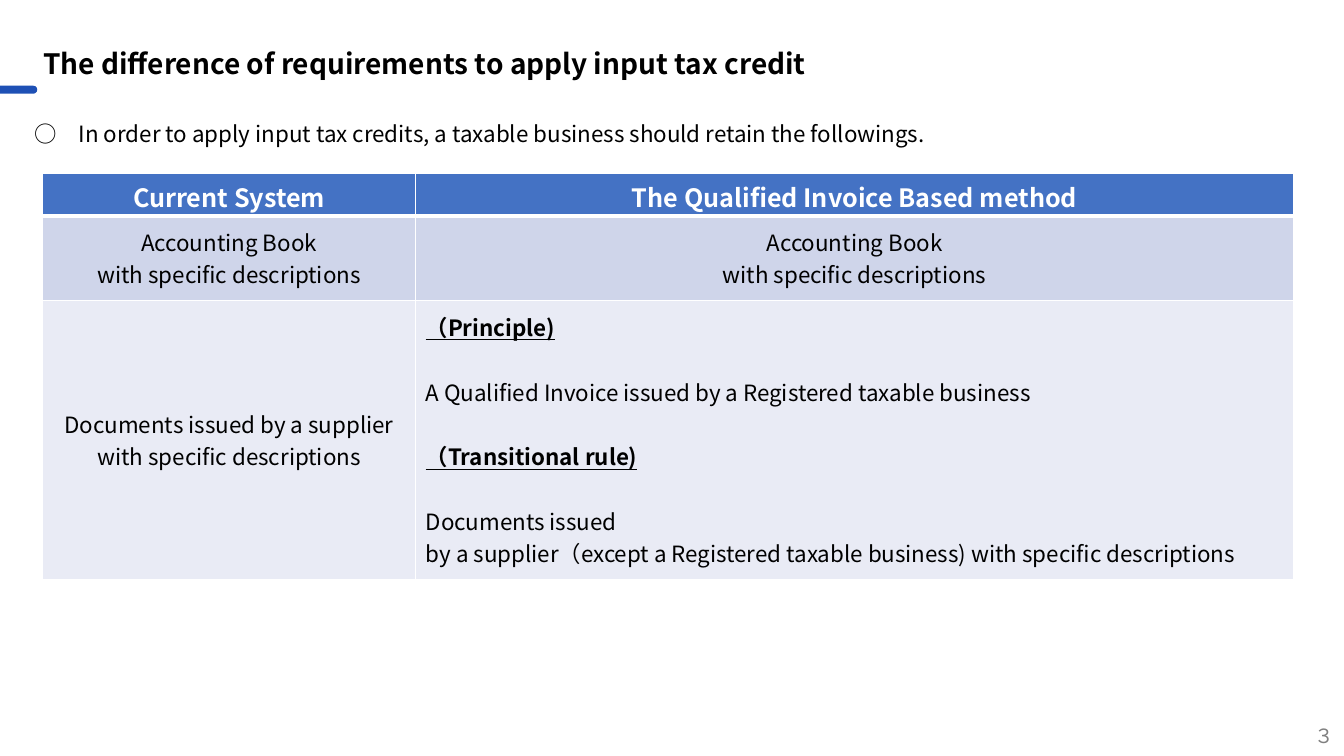
from dataclasses import dataclass

from lxml import etree
from pptx import Presentation
from pptx.dml.color import RGBColor
from pptx.enum.shapes import MSO_SHAPE
from pptx.enum.text import MSO_ANCHOR, PP_ALIGN
from pptx.oxml.ns import qn
from pptx.util import Pt

LEFT, CENTER, RIGHT = PP_ALIGN.LEFT, PP_ALIGN.CENTER, PP_ALIGN.RIGHT
TOP, MIDDLE = MSO_ANCHOR.TOP, MSO_ANCHOR.MIDDLE
ROUNDED = MSO_SHAPE.ROUNDED_RECTANGLE

SANS, NUMBER_FONT = "Noto Sans CJK JP", "Roboto"
BLACK, WHITE, GRAY, ACCENT = "000000", "FFFFFF", "808080", "1E50B5"
BLANK_LINE = 23.2


@dataclass
class Style:
    size: float = 16
    color: str = BLACK
    bold: bool = False
    underline: bool = False
    align: int = LEFT
    font: str = SANS
    before: float = 0


@dataclass
class Label:
    left: float
    top: float
    width: float
    text: str
    style: Style
    anchor: int = MIDDLE
    spacing: object = None


@dataclass
class Row:
    height: float
    fill: str
    anchor: int
    cells: list
    line_above: float = 1
    line_below: float = 1


def rgb(color: str) -> RGBColor:
    return RGBColor.from_string(color)


def format_para(para, style: Style) -> None:
    para.alignment = style.align
    para.space_before = Pt(style.before)
    for span in para.runs:
        font = span.font
        font.name, font.size = style.font, Pt(style.size)
        font.bold, font.underline = style.bold, style.underline
        font.color.rgb = rgb(style.color)
        east_asian = etree.SubElement(font._element, qn("a:ea"))
        east_asian.set("typeface", style.font)


def write_lines(frame, lines: list) -> None:
    frame.text = "\n".join(text for text, _ in lines)
    for para, (_, style) in zip(frame.paragraphs, lines):
        format_para(para, style)


def draw_label(page, label: Label) -> None:
    box = page.shapes.add_textbox(
        Pt(label.left), Pt(label.top), Pt(label.width), Pt(28.8))
    frame = box.text_frame
    frame.word_wrap = True
    frame.vertical_anchor = label.anchor
    write_lines(frame, [(label.text, label.style)])
    if label.spacing is not None:
        frame.paragraphs[0].line_spacing = label.spacing


def draw_borders(cell, above: float, below: float) -> None:
    properties = cell._tc.get_or_add_tcPr()
    for side, width in (("L", 1), ("R", 1), ("T", above), ("B", below)):
        line = etree.SubElement(properties, qn(f"a:ln{side}"), w=str(Pt(width)))
        fill = etree.SubElement(line, qn("a:solidFill"))
        etree.SubElement(fill, qn("a:srgbClr"), val=WHITE)


def draw_table(page, left: float, top: float, widths: list, rows: list) -> None:
    table = page.shapes.add_table(
        len(rows), len(widths), Pt(left), Pt(top), Pt(sum(widths)),
        Pt(sum(row.height for row in rows))).table
    for column, width in zip(table.columns, widths):
        column.width = Pt(width)
    for index, row in enumerate(rows):
        table.rows[index].height = Pt(row.height)
        for cell, lines in zip(table.rows[index].cells, row.cells):
            draw_borders(cell, row.line_above, row.line_below)
            cell.fill.solid()
            cell.fill.fore_color.rgb = rgb(row.fill)
            cell.vertical_anchor = row.anchor
            write_lines(cell.text_frame, lines)


deck = Presentation()
deck.slide_width, deck.slide_height = Pt(960), Pt(540)
page = deck.slides.add_slide(deck.slide_layouts[6])

# Accent bar at the left edge
bar = page.shapes.add_shape(ROUNDED, Pt(-7.2), Pt(61.2), Pt(33.84), Pt(5.76))
bar.shadow.inherit = False
bar.adjustments[0] = 0.5
bar.fill.solid()
bar.fill.fore_color.rgb = rgb(ACCENT)
bar.line.fill.background()

# Page number, title and lead sentence
labels = [
    Label(744, 511.2, 216, "３", Style(14, GRAY, align=RIGHT, font=NUMBER_FONT)),
    Label(23.76, 32.4, 881.28,
          "The difference of requirements to apply input tax credit",
          Style(20, bold=True), spacing=0.9),
    Label(17.28, 79.2, 841.68,
          "○　In order to apply input tax credits, a taxable business "
          "should retain the followings.",
          Style(before=10), TOP, Pt(22)),
]
for label in labels:
    draw_label(page, label)

# Comparison table
header = Style(18, WHITE, bold=True, align=CENTER)
centered = Style(align=CENTER)
first_heading = Style(bold=True, underline=True)
next_heading = Style(bold=True, underline=True, before=BLANK_LINE)
plain, spaced = Style(), Style(before=BLANK_LINE)
descriptions = ("with specific descriptions", centered)
accounting_book = [("Accounting Book", centered), descriptions]
supplier_documents = [("Documents issued by a supplier", centered), descriptions]
invoice_rules = [
    ("（Principle)", first_heading),
    ("A Qualified Invoice issued by a Registered taxable business", spaced),
    ("（Transitional rule)", next_heading),
    ("Documents issued", spaced),
    ("by a supplier（except a Registered taxable business) "
     "with specific descriptions", plain),
]
rows = [
    Row(30.24, "4472C4", TOP,
        [[("Current System", header)],
         [("The Qualified Invoice Based method", header)]], line_below=3),
    Row(60.48, "CFD5EA", MIDDLE, [accounting_book] * 2, line_above=3),
    Row(199.44, "E9EBF5", MIDDLE, [supplier_documents, invoice_rules]),
]
draw_table(page, 30.5, 123.84, [266.4, 627.12], rows)

deck.save("out.pptx")
